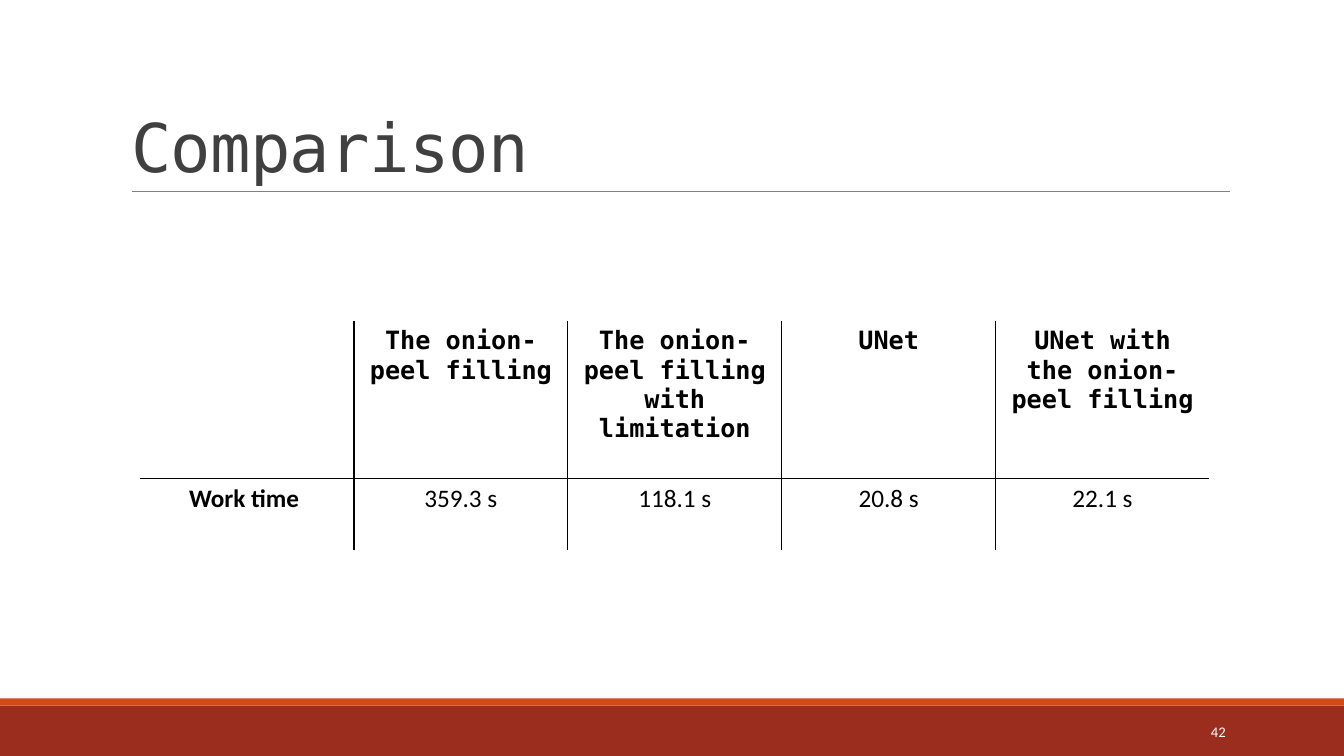
from pptx import Presentation
from pptx.dml.color import RGBColor
from pptx.enum.shapes import MSO_CONNECTOR, MSO_SHAPE
from pptx.enum.text import MSO_ANCHOR, MSO_AUTO_SIZE, PP_ALIGN
from pptx.oxml.ns import qn
from pptx.util import Cm, Pt
from lxml import etree

RECTANGLE = MSO_SHAPE.RECTANGLE
STRAIGHT = MSO_CONNECTOR.STRAIGHT
LEFT, CENTER, RIGHT = PP_ALIGN.LEFT, PP_ALIGN.CENTER, PP_ALIGN.RIGHT
MIDDLE, BOTTOM = MSO_ANCHOR.MIDDLE, MSO_ANCHOR.BOTTOM
NO_AUTOFIT = MSO_AUTO_SIZE.NONE

BODY_FONT = "Calibri"
MONO_FONT = "DejaVu Sans Mono"
SLIDE_WIDTH = 33.87


def color(value):
    return RGBColor.from_string(value)


class SlideBuilder:
    title_color = "404040"
    text_color = "000000"
    border_color = "000000"
    table_size = 18

    def __init__(self, presentation):
        self.slide = presentation.slides.add_slide(presentation.slide_layouts[5])

    def add_text(self, paragraph, text, font, size, ink, bold=False, align=LEFT):
        paragraph.alignment = align
        run = paragraph.add_run()
        run.text = text
        run.font.name = font
        run.font.size = Pt(size)
        run.font.bold = bold
        run.font.color.rgb = color(ink)
        return run

    def title(self, text, left, top, width, height):
        shape = self.slide.shapes.title
        shape.left, shape.top = Cm(left), Cm(top)
        shape.width, shape.height = Cm(width), Cm(height)
        frame = shape.text_frame
        frame.word_wrap = True
        frame.auto_size = NO_AUTOFIT
        frame.vertical_anchor = BOTTOM
        paragraph = frame.paragraphs[0]
        paragraph.line_spacing = 0.85
        run = self.add_text(paragraph, text, MONO_FONT, 48, self.title_color)
        run._r.get_or_add_rPr().set("spc", "-50")

    def band(self, top, height, fill):
        shape = self.slide.shapes.add_shape(
            RECTANGLE, Cm(0), Cm(top), Cm(SLIDE_WIDTH), Cm(height))
        shape.shadow.inherit = False
        shape.fill.solid()
        shape.fill.fore_color.rgb = color(fill)
        shape.line.fill.background()

    def rule(self, left, right, top, ink):
        connector = self.slide.shapes.add_connector(
            STRAIGHT, Cm(left), Cm(top), Cm(right), Cm(top))
        connector.line.color.rgb = color(ink)
        connector.line.width = Pt(0.5)
        etree.SubElement(connector._element.spPr, qn("a:effectLst"))

    def page_number(self, text, left, top, width, height):
        shape = self.slide.shapes.add_textbox(
            Cm(left), Cm(top), Cm(width), Cm(height))
        frame = shape.text_frame
        frame.word_wrap = True
        frame.vertical_anchor = MIDDLE
        self.add_text(frame.paragraphs[0], text, BODY_FONT, 10.5, "FFFFFF", align=RIGHT)

    def border(self, cell, side, visible):
        properties = cell._tc.get_or_add_tcPr()
        line = etree.SubElement(properties, qn(f"a:ln{side}"), w=str(Pt(1)))
        if visible:
            fill = etree.SubElement(line, qn("a:solidFill"))
            etree.SubElement(fill, qn("a:srgbClr"), val=self.border_color)
        else:
            etree.SubElement(line, qn("a:noFill"))

    def table(self, rows, left, top, column_width, row_heights):
        row_count, column_count = len(rows), len(rows[0])
        table = self.slide.shapes.add_table(
            row_count, column_count, Cm(left), Cm(top),
            Cm(column_width * column_count), Cm(sum(row_heights))).table
        table.horz_banding = False
        for column in table.columns:
            column.width = Cm(column_width)
        for row_index, texts in enumerate(rows):
            table.rows[row_index].height = Cm(row_heights[row_index])
            for column_index, text in enumerate(texts):
                cell = table.cell(row_index, column_index)
                inner_sides = {
                    "L": column_index > 0,
                    "R": column_index < column_count - 1,
                    "T": row_index > 0,
                    "B": row_index < row_count - 1,
                }
                for side, visible in inner_sides.items():
                    self.border(cell, side, visible)
                cell.fill.background()
                if text:
                    is_header = row_index == 0
                    self.add_text(
                        cell.text_frame.paragraphs[0], text,
                        MONO_FONT if is_header else BODY_FONT,
                        self.table_size, self.text_color,
                        bold=is_header or column_index == 0, align=CENTER)


def main():
    presentation = Presentation()
    presentation.slide_width = Cm(SLIDE_WIDTH)
    presentation.slide_height = Cm(19.05)

    builder = SlideBuilder(presentation)
    builder.band(17.78, 1.27, "9B2D1F")
    builder.band(17.6, 0.18, "D34817")
    builder.rule(3.33, 31, 4.82, "808080")
    builder.title("Comparison", 3.05, 0.79, 27.94, 4.03)
    builder.page_number("42", 27.51, 17.93, 3.63, 1.02)
    builder.table(
        [
            ["", "The onion-peel filling", "The onion-peel filling with limitation",
             "UNet", "UNet with the onion-peel filling "],
            ["Work time ", "359.3 s", "118.1 s", "20.8 s", "22.1 s"],
        ],
        left=3.53, top=8.1, column_width=5.39, row_heights=[3.96, 1.8])

    presentation.save("out.pptx")


if __name__ == "__main__":
    main()
